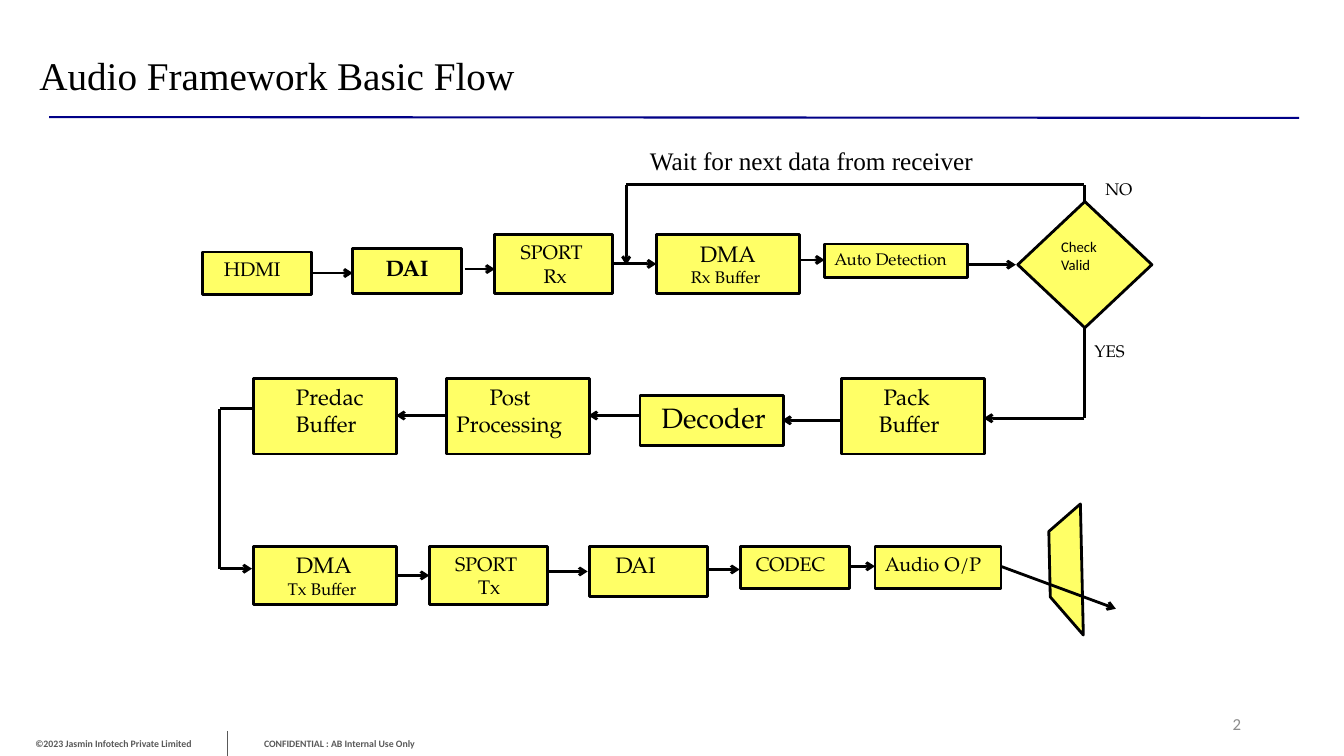
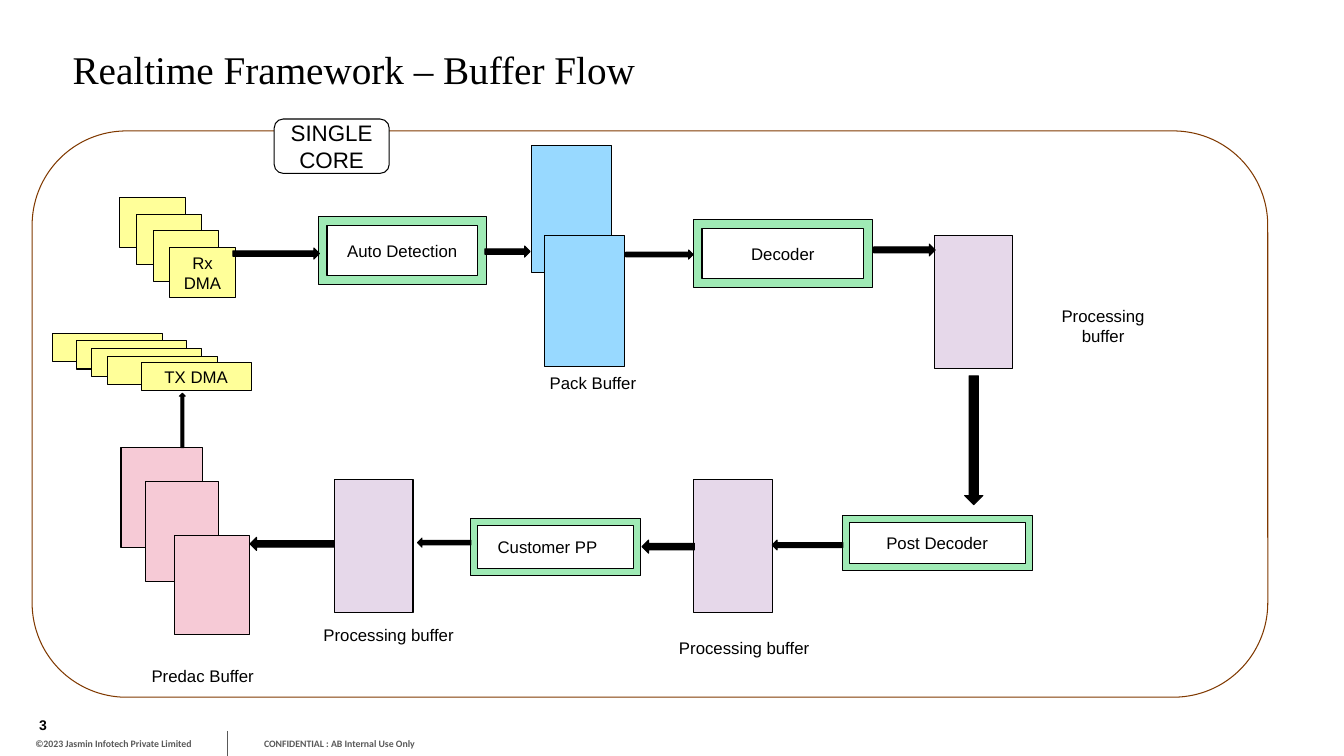
import pptx
import pptx.dml.color
import pptx.enum.shapes
import pptx.enum.text
import pptx.oxml.ns
import pptx.util
from lxml import etree

Cm, Pt = pptx.util.Cm, pptx.util.Pt
RGB = pptx.dml.color.RGBColor
SHAPE = pptx.enum.shapes.MSO_SHAPE
STRAIGHT = pptx.enum.shapes.MSO_CONNECTOR.STRAIGHT
ALIGN = pptx.enum.text.PP_ALIGN
ANCHOR = pptx.enum.text.MSO_ANCHOR
qn = pptx.oxml.ns.qn

BLACK, WHITE = RGB(0, 0, 0), RGB(255, 255, 255)
GREY, NUMBER_GREY = RGB(0x59, 0x59, 0x59), RGB(0x8C, 0x8C, 0x8C)
NAVY, BROWN = RGB(0, 0, 0x87), RGB(0x80, 0x39, 0)
YELLOW, PALE_YELLOW = RGB(0xFF, 0xFF, 0x66), RGB(0xFF, 0xFF, 0x99)
GREEN, BLUE = RGB(0x9F, 0xEA, 0xB5), RGB(0x98, 0xD9, 0xFF)
PINK, LILAC = RGB(0xF6, 0xCA, 0xD6), RGB(0xE6, 0xD8, 0xEA)
SERIF, BOOK, SANS, FOOT = "Times New Roman", "TeX Gyre Pagella", "Arial", "Calibri"

# All positions and sizes are in centimetres.
FOOTERS = [
    ("CONFIDENTIAL : AB Internal Use Only", (5.28, 18.47, 6.55, 0.53)),
    ("©2023 Jasmin Infotech Private Limited", (0, 18.47, 5.72, 0.53)),
]

# Flow boxes: place, then lines of (text, size, left indent)
FLOW_BOXES = [
    ((5.11, 6.35, 2.74, 1.07), [("HDMI", 14, 0.28)]),
    ((12.47, 5.92, 2.97, 1.47), [("SPORT", 14, 0.4), ("Rx", 14, 0.98)]),
    ((16.54, 5.92, 3.61, 1.47), [("DMA", 16, 0.85), ("Rx Buffer", 12, 0.62)]),
    ((20.78, 6.15, 3.61, 0.84), [("Auto Detection", 12, 0)]),
    ((21.21, 9.53, 3.61, 1.91), [("Pack", 16, 0.81), ("Buffer", 16, 0.69)]),
    ((11.25, 9.53, 3.61, 1.91), [("Post", 16, 0.84), ("Processing", 16, 0)]),
    ((6.38, 9.53, 3.61, 1.91), [("Predac", 16, 0.83), ("Buffer", 16, 0.83)]),
    ((6.38, 13.77, 3.61, 1.47), [("DMA", 16, 0.83), ("Tx Buffer", 12, 0.62)]),
    ((10.82, 13.77, 2.97, 1.47), [("SPORT", 14, 0.4), ("Tx", 14, 0.98)]),
    ((14.86, 13.77, 2.97, 1.27), [("DAI", 16, 0.4)]),
    ((18.67, 13.77, 2.74, 1.07), [("CODEC", 14, 0.13)]),
    ((22.05, 13.77, 3.18, 1.07), [("Audio O/P", 14, 0)]),
]
DAI_BOX = (8.89, 6.27, 2.74, 1.12)
DECODER_BOX = (16.13, 9.96, 3.61, 1.27)
CHECK_BOX = (25.65, 5.08, 3.38, 3.18)
SPEAKER_BOX = (26.21, 13.08, 2.11, 2.54)

# Each path ends in an arrowhead
FLOW_PATHS = [
    [(7.87, 6.88), (8.89, 6.88)],
    [(11.71, 6.78), (12.47, 6.78)],
    [(15.44, 6.65), (16.54, 6.65)],
    [(20.14, 6.55), (20.78, 6.55)],
    [(24.41, 6.67), (25.6, 6.67)],
    [(27.33, 5.08), (27.33, 4.65), (15.78, 4.65), (15.78, 6.68)],
    [(27.33, 8.26), (27.33, 10.54), (24.79, 10.54)],
    [(21.21, 10.59), (19.71, 10.59)],
    [(16.13, 10.47), (14.83, 10.47)],
    [(11.25, 10.47), (9.98, 10.47)],
    [(6.38, 10.3), (5.54, 10.3), (5.54, 14.33), (6.35, 14.33)],
    [(9.98, 14.5), (10.82, 14.5)],
    [(13.79, 14.4), (14.81, 14.4)],
    [(17.81, 14.35), (18.64, 14.35)],
    [(21.41, 14.27), (22.05, 14.27)],
    [(25.22, 14.27), (28.12, 15.34)],
]
FLOW_LABELS = [
    ("NO", (27.61, 4.37, 1.4, 0.76), BOOK, 12),
    ("YES", (27.33, 8.46, 1.47, 0.76), BOOK, 12),
    ("Wait for next data from receiver", (16.13, 3.53, 9.88, 1.02), SERIF, 18),
]

# Buffer stacks: fill, then places from back to front with the text on each
RX_CARDS = [((3.02 + 0.42 * i, 4.98 + 0.42 * i, 1.65, 1.27),
             "Rx DMA" if i == 3 else "") for i in range(4)]
TX_CARDS = [((x, y, 2.77, 0.71), text) for x, y, text in [
    (1.32, 8.41, ""), (1.93, 8.59, ""), (2.31, 8.79, ""),
    (2.72, 8.99, ""), (3.56, 9.14, "TX DMA")]]
PACK_BUFFERS = [((13.39, 3.66, 2.03, 3.2), ""), ((13.72, 5.94, 2.03, 3.3), "")]
PREDAC_BUFFERS = [((3.05, 11.28, 2.06, 2.51), ""), ((3.66, 12.14, 1.85, 2.51), ""),
                  ((4.39, 13.49, 1.91, 2.51), "")]
PROCESSING_BUFFERS = [((x, y, 1.98, 3.35), "") for x, y in
                      [(17.48, 12.09), (8.43, 12.09), (23.55, 5.94)]]
STACKS = [(PALE_YELLOW, RX_CARDS), (PALE_YELLOW, TX_CARDS), (BLUE, PACK_BUFFERS),
          (PINK, PREDAC_BUFFERS), (LILAC, PROCESSING_BUFFERS)]
STAGES = [
    ((8.03, 5.46, 4.22, 1.7), "Auto Detection"),
    ((17.48, 5.54, 4.5, 1.7), "Decoder"),
    ((11.86, 13.06, 4.29, 1.45), ""),
    ((21.23, 13, 4.78, 1.37), "Post Decoder"),
]
CORE_OUTLINE = (0.81, 3.3, 31.14, 14.27)
CORE_TAG = (6.91, 3, 2.9, 1.37)
BLOCK_ARROWS = {
    SHAPE.RIGHT_ARROW: [(5.87, 6.25, 2.18, 0.28), (12.22, 6.2, 1.14, 0.28),
                        (15.77, 6.3, 1.7, 0.23), (22.02, 6.15, 1.55, 0.3)],
    SHAPE.DOWN_ARROW: [(24.31, 9.47, 0.46, 3.25)],
    SHAPE.LEFT_ARROW: [(19.46, 13.61, 1.78, 0.25), (16.18, 13.61, 1.32, 0.33),
                       (10.52, 13.56, 1.35, 0.23), (6.3, 13.54, 2.13, 0.33)],
    SHAPE.UP_ARROW: [(4.52, 9.91, 0.15, 1.37)],
}
BUFFER_LABELS = [
    ("Pack Buffer", (13.08, 9.19, 3.73, 0.91)),
    ("Predac Buffer", (1.35, 16.46, 7.52, 1.12)),
    ("Processing buffer", (15.39, 15.85, 6.73, 0.94)),
    ("Processing buffer", (6.43, 15.52, 6.73, 0.94)),
    ("Processing buffer", (26.3, 7.75, 3, 0.94)),
    ("Customer PP", (12.29, 13.39, 3.02, 0.76)),
]


def write(shape, lines, font, color=BLACK, align=ALIGN.LEFT, anchor=ANCHOR.TOP,
          bold=False, insets=(0.25, 0.13)):
    """Write lines of (text, size, left indent), one paragraph each."""
    tf = shape.text_frame
    tf.word_wrap = True
    tf.auto_size = pptx.enum.text.MSO_AUTO_SIZE.NONE
    tf.vertical_anchor = anchor
    tf.margin_left = tf.margin_right = Cm(insets[0])
    tf.margin_top = tf.margin_bottom = Cm(insets[1])
    for i, (text, size, indent) in enumerate(lines):
        p = tf.add_paragraph() if i else tf.paragraphs[0]
        p.alignment = align
        if indent:
            p._p.get_or_add_pPr().set("marL", str(Cm(indent)))
        r = p.add_run()
        r.text = text
        r.font.name, r.font.size, r.font.bold = font, Pt(size), bold
        r.font.color.rgb = color


def add_label(s, text, place, font, size, **style):
    sp = s.shapes.add_textbox(*map(Cm, place))
    write(sp, [(text, size, 0)], font, **style)
    return sp


def add_box(s, kind, place, fill, line=BLACK, width=0.75):
    sp = s.shapes.add_shape(kind, *map(Cm, place))
    sp.shadow.inherit = False
    if fill is None:
        sp.fill.background()
    else:
        sp.fill.solid()
        sp.fill.fore_color.rgb = fill
    sp.line.color.rgb = line
    sp.line.width = Pt(width)
    return sp


def add_line(s, start, end, color=BLACK, width=2, arrow=False):
    c = s.shapes.add_connector(STRAIGHT, *map(Cm, start + end))
    c.line.color.rgb = color
    c.line.width = Pt(width)
    if arrow:
        etree.SubElement(c.line._get_or_add_ln(), qn("a:tailEnd"), type="arrow")
    etree.SubElement(c._element.spPr, qn("a:effectLst"))
    return c


def add_titled_slide(prs, title, left, top):
    s = prs.slides.add_slide(prs.slide_layouts[5])
    sp = s.shapes.title
    sp.left, sp.top, sp.width, sp.height = map(Cm, (left, top, 30, 1.42))
    write(sp, [(title, 28, 0)], SERIF, anchor=ANCHOR.MIDDLE)
    return s


def move_footer_to_layout(s):
    """Build the footer on a slide, then hand it to the layout all slides share."""
    parts = [add_label(s, text, place, FOOT, 7, color=GREY, bold=True,
                       align=ALIGN.CENTER, anchor=ANCHOR.MIDDLE)
             for text, place in FOOTERS]
    parts.append(add_line(s, (5.72, 18.42), (5.72, 19.05), GREY, 0.25))
    for part in parts:
        s.slide_layout.shapes._spTree.append(part._element)


def build_audio_flow(prs):
    s = add_titled_slide(prs, "Audio Framework Basic Flow", 0.74, 1.17)
    move_footer_to_layout(s)
    add_line(s, (1.24, 2.95), (32.74, 2.97), NAVY, 1.5)

    def flow_box(place, kind=SHAPE.RECTANGLE):
        return add_box(s, kind, place, YELLOW, width=2)

    for place, lines in FLOW_BOXES:
        write(flow_box(place), lines, BOOK)
    write(flow_box(DAI_BOX), [("DAI", 16, 0)], BOOK, align=ALIGN.CENTER, bold=True)
    write(flow_box(DECODER_BOX), [("Decoder", 20, 0.1)], BOOK, align=ALIGN.CENTER)
    write(flow_box(CHECK_BOX, SHAPE.FLOWCHART_DECISION),
          [("Check", 10.5, 0), ("Valid", 10.5, 0)], FOOT)
    speaker = flow_box(SPEAKER_BOX, SHAPE.DIAGONAL_STRIPE)
    speaker.adjustments[0] = 0.5
    speaker.rotation = 319

    for path in FLOW_PATHS:
        for i, (start, end) in enumerate(zip(path, path[1:]), 2):
            add_line(s, start, end, arrow=i == len(path))
    for label in FLOW_LABELS:
        add_label(s, *label)
    add_label(s, "2", (28.14, 17.83, 3.39, 0.84), FOOT, 12, color=NUMBER_GREY,
              align=ALIGN.RIGHT, anchor=ANCHOR.MIDDLE)


def build_buffer_flow(prs):
    s = add_titled_slide(prs, "Realtime Framework – Buffer Flow", 1.58, 1.02)
    centred = {"align": ALIGN.CENTER, "anchor": ANCHOR.MIDDLE}

    add_box(s, SHAPE.ROUNDED_RECTANGLE, CORE_OUTLINE, None, BROWN)
    tag = add_box(s, SHAPE.ROUNDED_RECTANGLE, CORE_TAG, WHITE)
    write(tag, [("SINGLE", 16, 0), ("CORE", 16, 0)], SANS, **centred)

    groups = [(SHAPE.RECTANGLE, fill, cards) for fill, cards in STACKS]
    groups.append((SHAPE.FRAME, GREEN, STAGES))
    for kind, fill, items in groups:
        for place, text in items:
            sp = add_box(s, kind, place, fill)
            if text:
                write(sp, [(text, 12, 0)], SANS, **centred)

    for kind, places in BLOCK_ARROWS.items():
        for place in places:
            add_box(s, kind, place, BLACK)
    for text, place in BUFFER_LABELS:
        add_label(s, text, place, SANS, 12, **centred)
    add_label(s, "3", (0.99, 17.58, 0.94, 0.89), SANS, 10, bold=True,
              anchor=ANCHOR.BOTTOM, insets=(0, 0))


def main():
    prs = pptx.Presentation()
    prs.slide_width, prs.slide_height = Cm(33.87), Cm(19.05)
    build_audio_flow(prs)
    build_buffer_flow(prs)
    prs.save("out.pptx")


if __name__ == "__main__":
    main()
